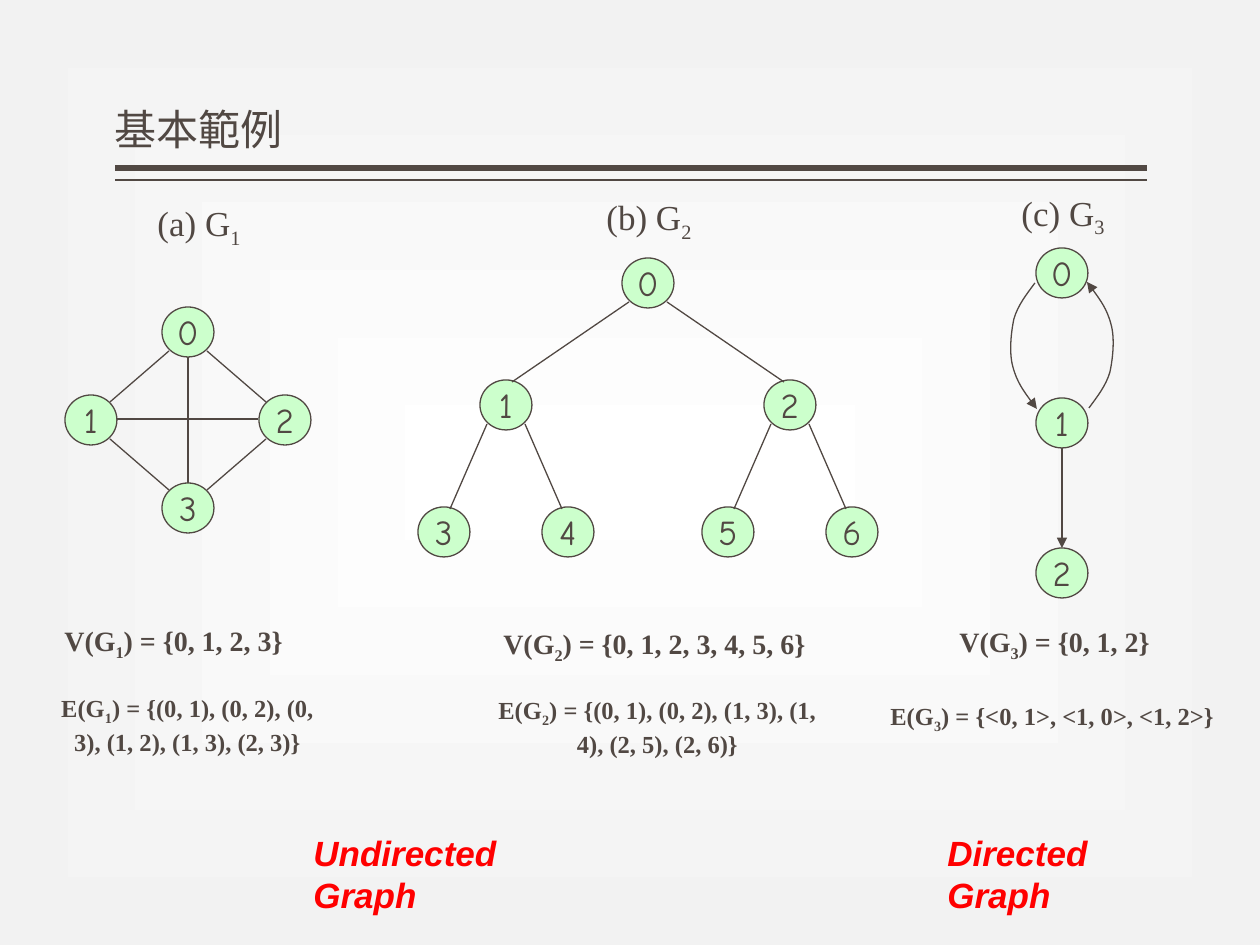
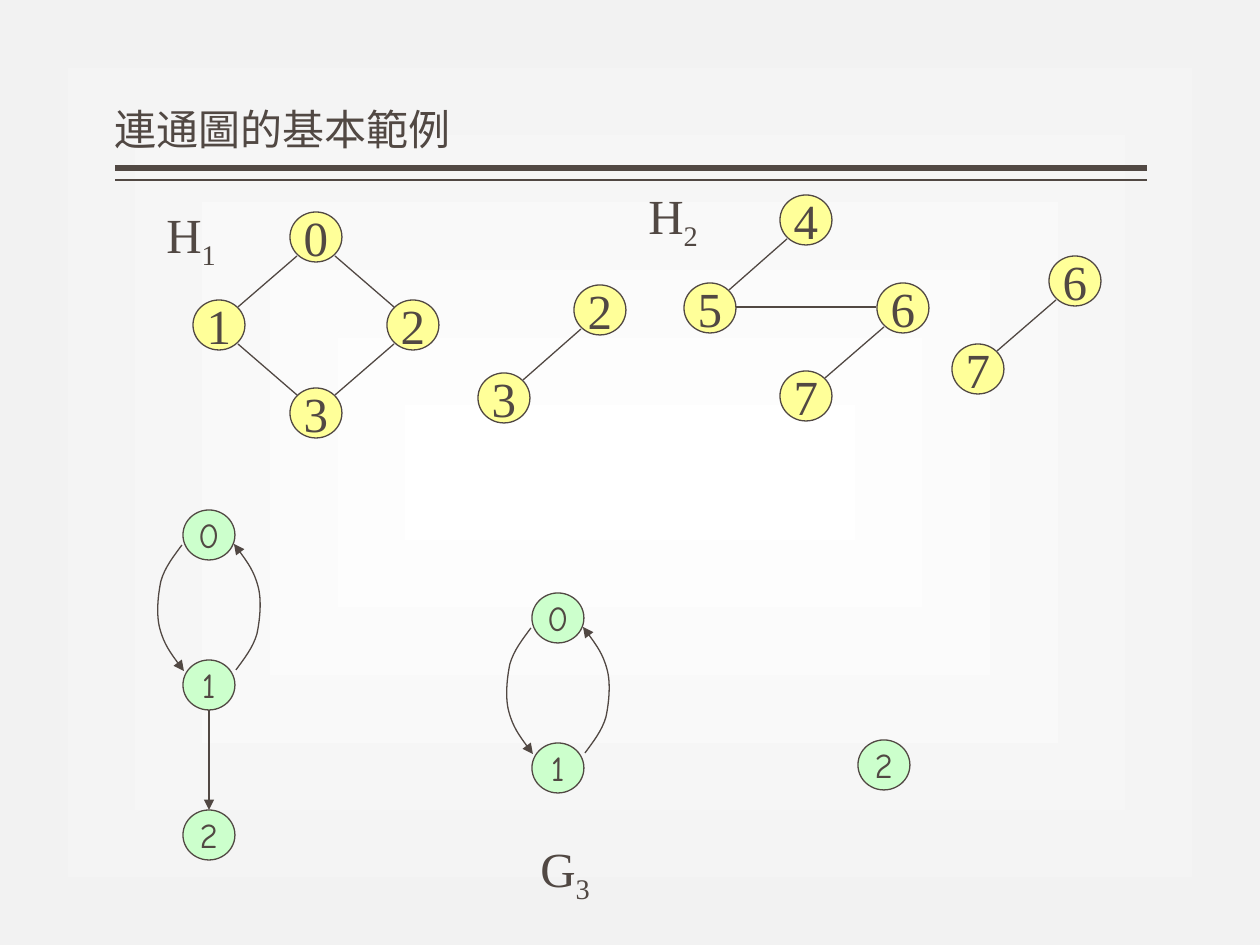
from dataclasses import dataclass

from lxml import etree
from pptx import Presentation
from pptx import util as u
from pptx.dml.color import RGBColor
from pptx.enum import shapes, text
from pptx.oxml import parse_xml
from pptx.oxml.ns import nsdecls, qn

SCALE = 914400 / 126  # EMU in one px


@dataclass(frozen=True)
class Theme:
    ink: str = "514843"
    red: str = "FF0000"
    green: str = "CCFFCC"
    yellow: str = "FFFF99"
    centre: str = "FFFFFF"
    edge: str = "F2F2F2"
    serif: str = "Times New Roman"
    sans: str = "Arial"
    comic: str = "Comic Neue"
    cjk: str = "Noto Sans CJK SC"
    title: int = 24
    large: int = 28
    medium: int = 20
    vertices: int = 16
    edges: int = 14
    thin: float = 0.75


theme = Theme()
NODE_WIDTH, NODE_HEIGHT = 52, 50
ARC = [(-27, 10), (-35, 21), (-44, 32), (-48, 46), (-51, 60),
       (-53, 80), (-49, 94), (-45, 109), (-35, 123), (-25, 136)]
ARC_BACK = [(-x, 145 - y) for x, y in ARC]
DIAMOND, TREE = (19, 18), (6, 23)  # where a slanted edge lands on its lower node


def px(*lengths):
    return [u.Emu(round(length * SCALE)) for length in lengths]


def style(shape, width=theme.thin, arrow=False):
    """Give a line or outline its colour and width, and no shadow."""
    shape.line.color.rgb = RGBColor.from_string(theme.ink)
    shape.line.width = u.Pt(width)
    if arrow:
        line = shape.element.xpath(".//a:ln")[0]
        etree.SubElement(line, qn("a:tailEnd"), type="triangle")
    etree.SubElement(shape.element.spPr, qn("a:effectLst"))


# Graphs: look, landing, node centres, edges, arcs between nodes 0 and 1
GREEN = (theme.green, theme.comic, theme.medium)
YELLOW = (theme.yellow, theme.serif, theme.large)


def_cycle = [("0", "1"), ("0", "2"), ("1", "3"), ("2", "3")]
graphs_1 = [
    (GREEN, DIAMOND, {"0": (188, 332), "1": (91, 420), "2": (285, 420), "3": (188, 508)},
     def_cycle + [("0", "3"), ("1", "2")], False),
    (GREEN, TREE, {"0": (648, 283), "1": (506, 405), "2": (790, 405), "3": (444, 532),
                   "4": (568, 532), "5": (728, 532), "6": (852, 532)},
     [("0", "1"), ("0", "2"), ("1", "3"), ("1", "4"), ("2", "5"), ("2", "6")], False),
    (GREEN, TREE, {"0": (1062, 273), "1": (1062, 423), "2": (1062, 573)}, [("1", "2")], True),
]
graphs_2 = [
    (YELLOW, DIAMOND, {"0": (316, 237), "1": (219, 325), "2": (413, 325), "3": (316, 413)},
     def_cycle, False),
    (YELLOW, DIAMOND, {"2": (600, 310), "3": (504, 398)}, [("2", "3")], False),
    (YELLOW, DIAMOND, {"4": (806, 220), "5": (710, 308), "6": (903, 308), "7": (806, 396)},
     [("4", "5"), ("5", "6"), ("6", "7")], False),
    (YELLOW, DIAMOND, {"6": (1075, 281), "7": (978, 369)}, [("6", "7")], False),
    (GREEN, TREE, {"0": (209, 535), "1": (209, 685), "2": (209, 835)}, [("1", "2")], True),
    (GREEN, TREE, {"0": (558, 618), "1": (558, 768)}, [], True),
    (GREEN, TREE, {"2": (884, 765)}, [], False),
]

# Labels: box, size, look, centred, and text before, in and after the subscript
SERIF = (theme.serif, theme.ink, False, False)
BOLD = (theme.serif, theme.ink, True, False)
KIND = (theme.sans, theme.red, True, True)
labels_1 = [
    ((145, 195, 130, 54), theme.medium, SERIF, False, ("(a) G", "1", "")),
    ((594, 189, 130, 54), theme.medium, SERIF, False, ("(b) G", "2", "")),
    ((1009, 185, 130, 54), theme.medium, SERIF, False, ("(c) G", "3", "")),
    ((52, 617, 322, 47), theme.vertices, BOLD, False, ("V(G", "1", ") = {0, 1, 2, 3}")),
    ((491, 620, 339, 47), theme.vertices, BOLD, False, ("V(G", "2", ") = {0, 1, 2, 3, 4, 5, 6}")),
    ((947, 618, 223, 47), theme.vertices, BOLD, False, ("V(G", "3", ") = {0, 1, 2}")),
    ((34, 687, 307, 72), theme.edges, BOLD, True,
     ("E(G", "1", ") = {(0, 1), (0, 2), (0, 3), (1, 2), (1, 3), (2, 3)}")),
    ((480, 689, 355, 72), theme.edges, BOLD, True,
     ("E(G", "2", ") = {(0, 1), (0, 2), (1, 3), (1, 4), (2, 5), (2, 6)}")),
    ((878, 695, 374, 43), theme.edges, BOLD, False,
     ("E(G", "3", ") = {<0, 1>, <1, 0>, <1, 2>}")),
    ((301, 825, 300, 96), theme.medium, KIND, False, ("Undirected Graph", "", "")),
    ((935, 825, 250, 96), theme.medium, KIND, False, ("Directed Graph", "", "")),
]
labels_2 = [
    ((528, 832, 86, 72), theme.large, SERIF, False, ("G", "3", "")),
    ((154, 198, 86, 72), theme.large, SERIF, False, ("H", "1", "")),
    ((636, 179, 86, 72), theme.large, SERIF, False, ("H", "2", "")),
]

presentation = Presentation()
presentation.slide_width, presentation.slide_height = px(1260, 945)
layout = presentation.slide_layouts[5]

# Shared background: a rectangular gradient on the master
master = presentation.slide_master
master.background.fill.solid()
background = master.element.xpath("p:cSld/p:bg/p:bgPr")[0]
background.replace(background[0], parse_xml(
    f'<a:gradFill {nsdecls("a")} rotWithShape="1"><a:gsLst>'
    f'<a:gs pos="0"><a:srgbClr val="{theme.centre}"/></a:gs>'
    f'<a:gs pos="100000"><a:srgbClr val="{theme.edge}"/></a:gs></a:gsLst>'
    '<a:path path="rect"><a:fillToRect l="50000" t="50000" r="50000" b="50000"/></a:path>'
    '</a:gradFill>'))

for title_text, graphs, labels in [("基本範例", graphs_1, labels_1),
                                   ("連通圖的基本範例", graphs_2, labels_2)]:
    slide = presentation.slides.add_slide(layout)

    # Title and the double rule below it
    title = slide.shapes.title
    title.left, title.top, title.width, title.height = px(115, 10, 1032, 151)
    frame = title.text_frame
    frame.text = title_text
    frame.auto_size = text.MSO_AUTO_SIZE.NONE
    frame.vertical_anchor = text.MSO_ANCHOR.BOTTOM
    frame.margin_left = frame.margin_right = 0
    paragraph = frame.paragraphs[0]
    paragraph.alignment = text.PP_ALIGN.LEFT
    paragraph.line_spacing = 0.9
    paragraph.font.size = u.Pt(theme.title)
    paragraph.font.name = theme.cjk
    paragraph.font.color.rgb = RGBColor.from_string(theme.ink)
    run_defaults = paragraph._p.xpath("a:pPr/a:defRPr")[0]
    etree.SubElement(run_defaults, qn("a:ea"), typeface=theme.cjk)
    for y, width in [(168, 3), (180, 1)]:
        rule = slide.shapes.add_connector(shapes.MSO_CONNECTOR.STRAIGHT, *px(1147, y, 115, y))
        style(rule, width)

    for (fill, font_name, size), landing, nodes, edges, has_arcs in graphs:
        # Nodes
        for name, (x, y) in nodes.items():
            node = slide.shapes.add_shape(
                shapes.MSO_SHAPE.OVAL,
                *px(x - NODE_WIDTH / 2, y - NODE_HEIGHT / 2, NODE_WIDTH, NODE_HEIGHT))
            node.fill.solid()
            node.fill.fore_color.rgb = RGBColor.from_string(fill)
            style(node)
            node.text_frame.text = name
            node.text_frame.word_wrap = False
            node.text_frame.vertical_anchor = text.MSO_ANCHOR.MIDDLE
            paragraph = node.text_frame.paragraphs[0]
            paragraph.alignment = text.PP_ALIGN.CENTER
            paragraph.font.size = u.Pt(size)
            paragraph.font.name = font_name
            paragraph.font.color.rgb = RGBColor.from_string(theme.ink)

        # Straight edges; those of the directed graphs have arrowheads
        for upper, lower in edges:
            (x1, y1), (x2, y2) = nodes[upper], nodes[lower]
            if y1 == y2:
                ends = (x1 + 26, y1 - 1, x2 - 27, y2 - 1)
            elif x1 == x2:
                ends = (x1, y1 + 25, x2, y2 - 25)
            else:
                side = 1 if x2 > x1 else -1
                ends = (x1 + 19 * side, y1 + 19, x2 - landing[0] * side, y2 - landing[1])
            edge = slide.shapes.add_connector(shapes.MSO_CONNECTOR.STRAIGHT, *px(*ends))
            style(edge, arrow=has_arcs)

        # Curved arrows from 0 to 1 and back
        for offsets in (ARC, ARC_BACK) if has_arcs else ():
            x, y = nodes["0"]
            points = [(x + dx, y + dy) for dx, dy in offsets]
            builder = slide.shapes.build_freeform(*points[0], scale=SCALE)
            builder.add_line_segments(points[1:], close=False)
            arc = builder.convert_to_shape()
            outline = arc.element.xpath(".//a:path")[0]
            segments = outline.findall(qn("a:lnTo"))
            for first in range(0, len(segments), 3):
                curve = etree.SubElement(outline, qn("a:cubicBezTo"))
                for segment in segments[first:first + 3]:
                    curve.append(segment[0])
                    outline.remove(segment)
            arc.fill.background()
            style(arc, arrow=True)

    # Labels
    for box, size, (font_name, colour, bold, italic), centred, parts in labels:
        label = slide.shapes.add_textbox(*px(*box))
        label.text_frame.word_wrap = True
        paragraph = label.text_frame.paragraphs[0]
        paragraph.alignment = text.PP_ALIGN.CENTER if centred else text.PP_ALIGN.LEFT
        paragraph.font.size = u.Pt(size)
        paragraph.font.name = font_name
        paragraph.font.bold = bold
        paragraph.font.italic = italic
        paragraph.font.color.rgb = RGBColor.from_string(colour)
        for position, part in enumerate(parts):
            if part:
                run = paragraph.add_run()
                run.text = part
                if position == 1:
                    run._r.get_or_add_rPr().set("baseline", "-25000")

presentation.save("out.pptx")
